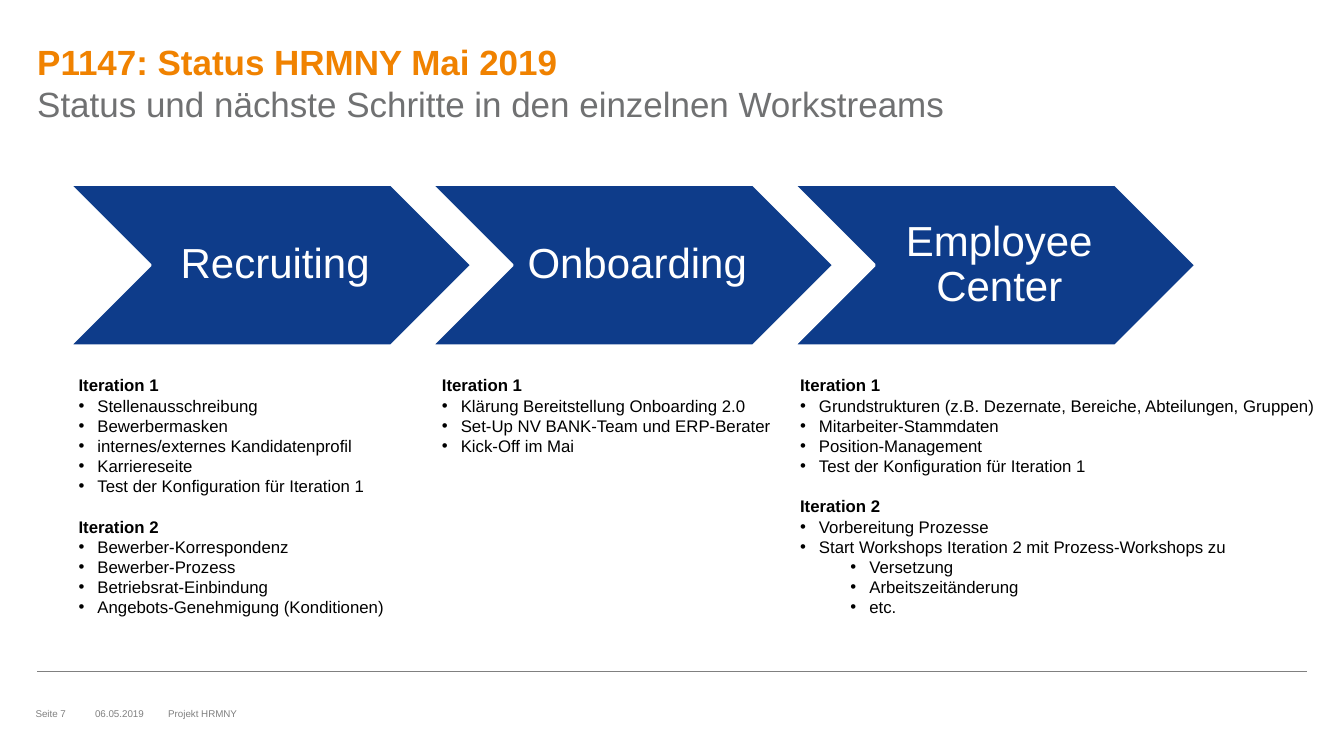
from lxml.etree import SubElement
from pptx import Presentation
from pptx.dml.color import RGBColor
from pptx.enum.shapes import MSO_CONNECTOR, MSO_SHAPE
from pptx.enum.text import MSO_ANCHOR, MSO_AUTO_SIZE, PP_ALIGN
from pptx.oxml.ns import qn
from pptx.util import Pt

ORANGE = RGBColor(0xF0, 0x82, 0x00)
TITLE_GREY = RGBColor(0x70, 0x71, 0x72)
FOOTER_GREY = RGBColor(0x80, 0x80, 0x80)
BLUE = RGBColor(0x0E, 0x3C, 0x8A)
WHITE = RGBColor(0xFF, 0xFF, 0xFF)
BLACK = RGBColor(0x00, 0x00, 0x00)

HEADLINE = "P1147: Status HRMNY Mai 2019"
SUBTITLE = "Status und nächste Schritte in den einzelnen Workstreams"

HEADING, ITEM, SUBITEM = range(3)
WORKSTREAMS = [
    ("Recruiting", 49, 234, 181.4, [
        (HEADING, "Iteration 1"),
        (ITEM, "Stellenausschreibung"),
        (ITEM, "Bewerbermasken"),
        (ITEM, "internes/externes Kandidatenprofil"),
        (ITEM, "Karriereseite"),
        (ITEM, "Test der Konfiguration für Iteration 1"),
        (HEADING, "Iteration 2"),
        (ITEM, "Bewerber-Korrespondenz"),
        (ITEM, "Bewerber-Prozess"),
        (ITEM, "Betriebsrat-Einbindung"),
        (ITEM, "Angebots-Genehmigung (Konditionen)"),
    ]),
    ("Onboarding", 308.6, 249.8, 65.4, [
        (HEADING, "Iteration 1"),
        (ITEM, "Klärung Bereitstellung Onboarding 2.0"),
        (ITEM, "Set-Up NV BANK-Team und ERP-Berater"),
        (ITEM, "Kick-Off im Mai"),
    ]),
    ("Employee Center", 564.4, 385.2, 181.4, [
        (HEADING, "Iteration 1"),
        (ITEM, "Grundstrukturen (z.B. Dezernate, Bereiche, Abteilungen, Gruppen)"),
        (ITEM, "Mitarbeiter-Stammdaten"),
        (ITEM, "Position-Management"),
        (ITEM, "Test der Konfiguration für Iteration 1"),
        (HEADING, "Iteration 2"),
        (ITEM, "Vorbereitung Prozesse"),
        (ITEM, "Start Workshops Iteration 2 mit Prozess-Workshops zu"),
        (SUBITEM, "Versetzung"),
        (SUBITEM, "Arbeitszeitänderung"),
        (SUBITEM, "etc."),
    ]),
]
FOOTER = [("Seite 7", 25.4, 39.6), ("06.05.2019", 67.9, 43.2), ("Projekt HRMNY", 120.2, 583.2)]

CHEVRON_LEFT, CHEVRON_TOP, CHEVRON_PITCH = 49.8, 131.8, 258.6
CHEVRON_WIDTH, CHEVRON_HEIGHT = 287.2, 115.2
STEPS_TOP, STEPS_SIZE, STEPS_LINE = 264.4, 12, 14.4
BULLET_INDENT, LEVEL_INDENT = 13.5, 36


def add_run(paragraph, words, size, color, bold=False):
    run = paragraph.add_run()
    run.text = words
    run.font.name = "Arial"
    run.font.size = Pt(size)
    run.font.bold = bold
    run.font.color.rgb = color


def set_insets(frame, left, top, right, bottom):
    frame.margin_left, frame.margin_top = Pt(left), Pt(top)
    frame.margin_right, frame.margin_bottom = Pt(right), Pt(bottom)


def add_bullet(paragraph, level):
    paragraph.level = level
    properties = paragraph._p.get_or_add_pPr()
    properties.set("marL", str(Pt(BULLET_INDENT + level * LEVEL_INDENT)))
    properties.set("indent", str(-Pt(BULLET_INDENT)))
    SubElement(properties, qn("a:buFont"), typeface="Arial")
    SubElement(properties, qn("a:buChar"), char="•")


def add_title(slide):
    title = slide.shapes.title
    title.left, title.top, title.width, title.height = Pt(26.6), Pt(28.8), Pt(907.2), Pt(73.4)
    frame = title.text_frame
    set_insets(frame, 0, 0, 0, 0)
    frame.word_wrap = True
    frame.auto_size = MSO_AUTO_SIZE.NONE
    frame.vertical_anchor = MSO_ANCHOR.TOP
    paragraph = frame.paragraphs[0]
    paragraph.alignment = PP_ALIGN.LEFT
    add_run(paragraph, HEADLINE, 25, ORANGE, True)
    paragraph.add_line_break()
    add_run(paragraph, SUBTITLE, 25, TITLE_GREY)


def add_chevron(slide, position, workstream):
    chevron = slide.shapes.add_shape(
        MSO_SHAPE.CHEVRON, Pt(CHEVRON_LEFT + position * CHEVRON_PITCH), Pt(CHEVRON_TOP),
        Pt(CHEVRON_WIDTH), Pt(CHEVRON_HEIGHT))
    chevron.shadow.inherit = False
    chevron.fill.solid()
    chevron.fill.fore_color.rgb = BLUE
    chevron.line.color.rgb = WHITE
    chevron.line.width = Pt(2)
    frame = chevron.text_frame
    frame.word_wrap = True
    frame.vertical_anchor = MSO_ANCHOR.MIDDLE
    set_insets(frame, 9.4, 3, 3, 3)
    paragraph = frame.paragraphs[0]
    paragraph.alignment = PP_ALIGN.CENTER
    paragraph.line_spacing = 0.9
    add_run(paragraph, workstream, 30, WHITE)


def add_steps(slide, left, width, height, steps):
    box = slide.shapes.add_textbox(Pt(left), Pt(STEPS_TOP), Pt(width), Pt(height))
    frame = box.text_frame
    frame.word_wrap = False
    frame.auto_size = MSO_AUTO_SIZE.SHAPE_TO_FIT_TEXT
    for number, (rank, words) in enumerate(steps):
        paragraph = frame.add_paragraph() if number else frame.paragraphs[0]
        if rank != HEADING:
            add_bullet(paragraph, rank - ITEM)
        elif number:
            paragraph.space_before = Pt(STEPS_LINE)
        add_run(paragraph, words, STEPS_SIZE, BLACK, rank == HEADING)


def add_footer(slide):
    rule = slide.shapes.add_connector(
        MSO_CONNECTOR.STRAIGHT, Pt(26.6), Pt(479.5), Pt(933.8), Pt(479.5))
    rule.line.color.rgb = FOOTER_GREY
    rule.line.width = Pt(0.5)
    SubElement(rule._element.spPr, qn("a:effectLst"))
    for words, left, width in FOOTER:
        frame = slide.shapes.add_textbox(Pt(left), Pt(504), Pt(width), Pt(11.5)).text_frame
        frame.word_wrap = True
        frame.vertical_anchor = MSO_ANCHOR.MIDDLE
        set_insets(frame, 0, 0, 0, 0)
        add_run(frame.paragraphs[0], words, 7, FOOTER_GREY)


def main():
    deck = Presentation()
    deck.slide_width, deck.slide_height = Pt(960), Pt(540)
    slide = deck.slides.add_slide(deck.slide_layouts[5])
    add_title(slide)
    for position, (workstream, left, width, height, steps) in enumerate(WORKSTREAMS):
        add_chevron(slide, position, workstream)
        add_steps(slide, left, width, height, steps)
    add_footer(slide)
    deck.save("out.pptx")


if __name__ == "__main__":
    main()
